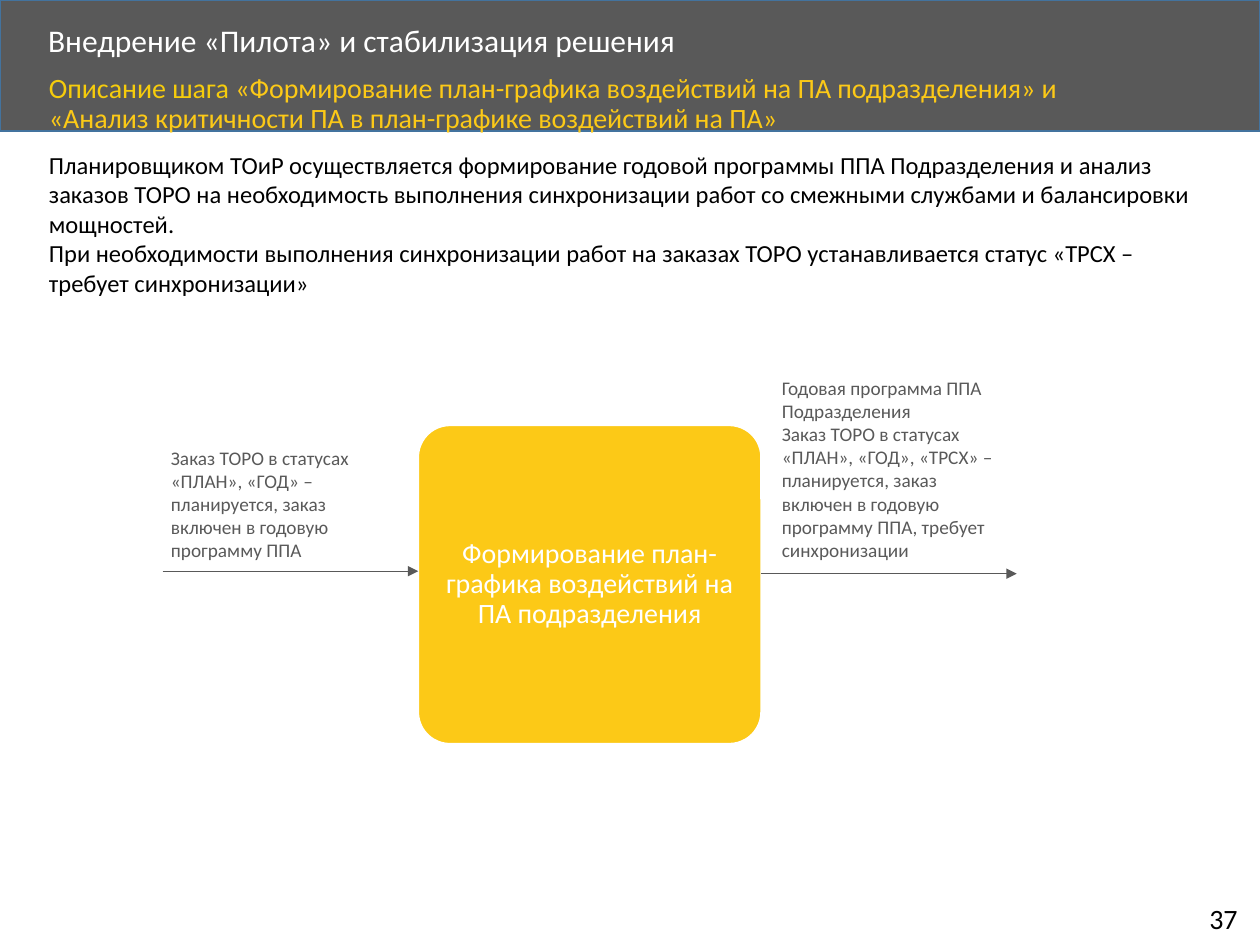
from lxml import etree
from pptx import Presentation
from pptx.dml.color import RGBColor
from pptx.enum.shapes import MSO_CONNECTOR, MSO_SHAPE
from pptx.enum.text import MSO_ANCHOR, MSO_AUTO_SIZE, PP_ALIGN
from pptx.oxml.ns import qn
from pptx.util import Pt

LEFT, CENTER = PP_ALIGN.LEFT, PP_ALIGN.CENTER
TOP, MIDDLE = MSO_ANCHOR.TOP, MSO_ANCHOR.MIDDLE
NO_FIT = MSO_AUTO_SIZE.NONE
RECT, ROUNDED = MSO_SHAPE.RECTANGLE, MSO_SHAPE.ROUNDED_RECTANGLE
STRAIGHT = MSO_CONNECTOR.STRAIGHT

COLORS = {"gray": "595959", "edge": "43739E", "yellow": "FCC917",
          "gold": "F6CC0C", "white": "FFFFFF", "black": "000000"}


def write(shape, paragraphs, size, color, anchor=TOP, align=LEFT, spacing=1.0, wrap=True):
    tf = shape.text_frame
    for name, value in {"word_wrap": wrap, "auto_size": NO_FIT, "vertical_anchor": anchor}.items():
        setattr(tf, name, value)
    for i, runs in enumerate(paragraphs):
        p = tf.paragraphs[0] if i == 0 else tf.add_paragraph()
        p.alignment, p.line_spacing = align, spacing
        for text, run_color in runs:
            r = p.add_run()
            r.text = text
            for name, value in {"name": "Calibri", "size": Pt(size)}.items():
                setattr(r.font, name, value)
            r.font.color.rgb = RGBColor.from_string(COLORS[run_color or color])


def add_box(kind, box, fill, line):
    sp = s.shapes.add_shape(kind, *map(Pt, box))
    sp.shadow.inherit = False
    sp.fill.solid()
    sp.fill.fore_color.rgb = RGBColor.from_string(COLORS[fill])
    sp.line.color.rgb = RGBColor.from_string(COLORS[line])
    sp.line.width = Pt(1)
    return sp


prs = Presentation()
prs.slide_width, prs.slide_height = Pt(720), Pt(540)
s = prs.slides.add_slide(prs.slide_layouts[5])

band = add_box(RECT, (0, 0, 720, 75), "gray", "edge")
title = s.shapes.title
title.element.addprevious(band.element)
title.left, title.top, title.width, title.height = map(Pt, (20.3, 10.2, 581, 27.4))
write(title, [[("Внедрение «Пилота» и стабилизация решения", None)]], 18, "white",
      anchor=MIDDLE, spacing=0.9)

step = add_box(ROUNDED, (239, 243, 196, 182), "yellow", "white")
step.adjustments[0] = 0.1
for side in ("left", "right", "top", "bottom"):
    setattr(step.text_frame, f"margin_{side}", Pt(0.7))
write(step, [[("Формирование план-графика воздействий на ПА подразделения", None)]],
      16, "white", anchor=MIDDLE, align=CENTER, spacing=0.9)

texts = [
    ((20.9, 39, 623, 32.5), 16, "yellow", 0.9, True, [
        [("Описание шага ", "gold"),
         ("«Формирование план-графика воздействий на ПА подразделения» и "
          "«Анализ критичности ПА в план-графике воздействий на ПА»", None)]]),
    ((20.9, 82.2, 681, 92), 14, "black", 1.0, True, [
        [("Планировщиком ТОиР осуществляется формирование годовой программы ППА "
          "Подразделения и анализ заказов ТОРО на необходимость выполнения синхронизации "
          "работ со смежными службами и балансировки мощностей.", None)],
        [("При необходимости выполнения синхронизации работ на заказах ТОРО "
          "устанавливается статус «ТРСХ – требует синхронизации»", None)]]),
    ((90.6, 251.3, 144, 74), 11, "gray", 1.0, True, [
        [("Заказ ТОРО в статусах «ПЛАН», «ГОД» – планируется, заказ включен в годовую "
          "программу ППА", None)]]),
    ((439.7, 211.5, 144, 114), 11, "gray", 1.0, True, [
        [("Годовая программа ППА Подразделения", None)],
        [("Заказ ТОРО в статусах «ПЛАН», «ГОД», «ТРСХ» – планируется, заказ включен "
          "в годовую программу ППА, требует синхронизации", None)]]),
    ((684, 511.4, 33, 26.6), 16, "black", 1.0, False, [[("37", None)]]),
]
for box, size, color, spacing, wrap, paragraphs in texts:
    tb = s.shapes.add_textbox(*map(Pt, box))
    write(tb, paragraphs, size, color, spacing=spacing, wrap=wrap)

for x, y in ((93, 326.4), (435, 327.8)):
    arrow = s.shapes.add_connector(STRAIGHT, Pt(x), Pt(y), Pt(x + 146), Pt(y))
    arrow.line.color.rgb = RGBColor.from_string(COLORS["gray"])
    arrow.line.width = Pt(0.5)
    etree.SubElement(arrow.line._get_or_add_ln(), qn("a:tailEnd"), type="triangle")
    etree.SubElement(arrow.element.spPr, qn("a:effectLst"))

prs.save("out.pptx")
